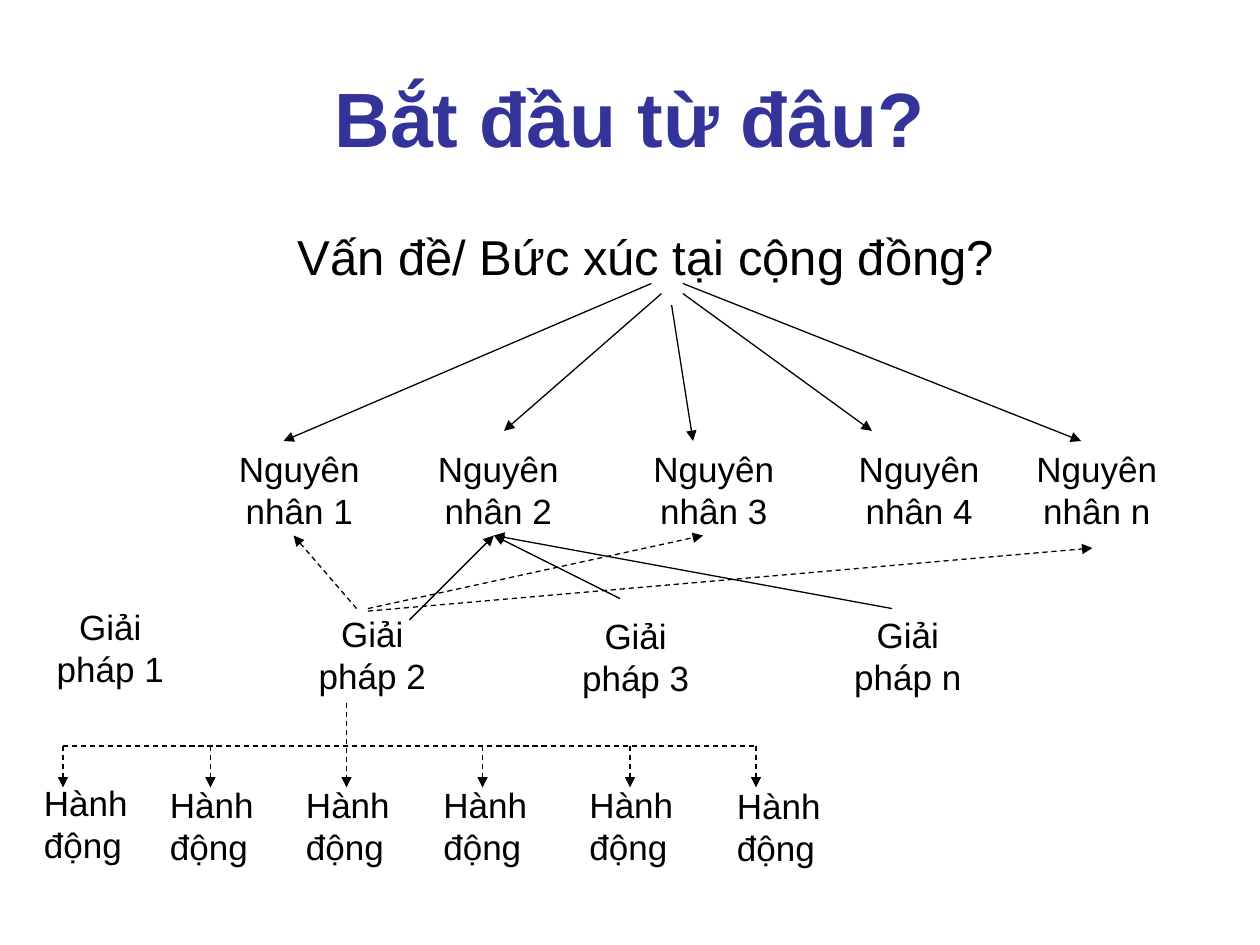
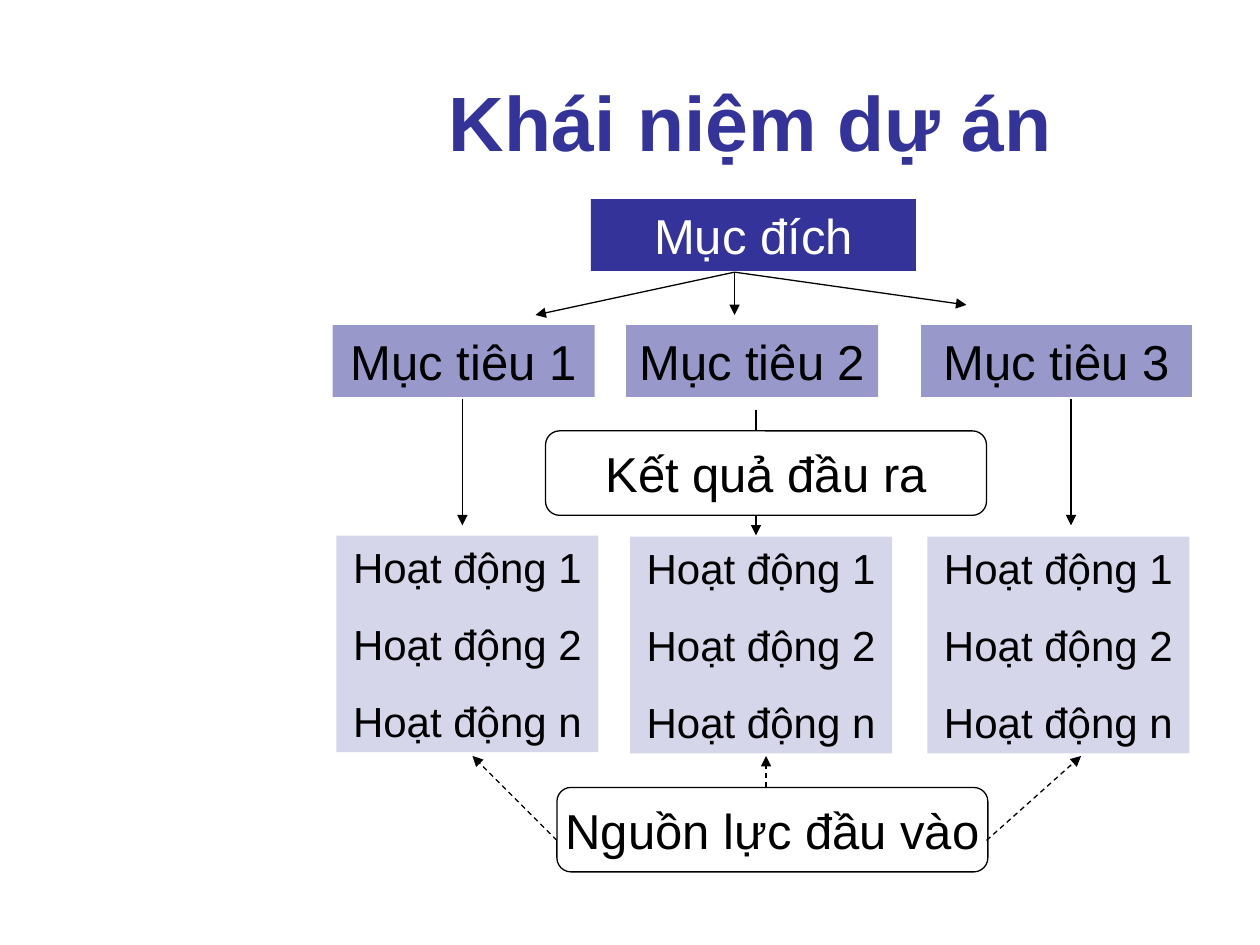
from dataclasses import dataclass

from lxml import etree
from pptx import Presentation
from pptx.dml.color import RGBColor
from pptx.enum.dml import MSO_LINE
from pptx.enum.shapes import MSO_CONNECTOR, MSO_SHAPE
from pptx.enum.text import MSO_ANCHOR, PP_ALIGN
from pptx.oxml.ns import qn
from pptx.util import Inches, Pt

LEFT, CENTER = PP_ALIGN.LEFT, PP_ALIGN.CENTER
TOP, MIDDLE = MSO_ANCHOR.TOP, MSO_ANCHOR.MIDDLE
RECT, ROUND = MSO_SHAPE.RECTANGLE, MSO_SHAPE.ROUNDED_RECTANGLE
STRAIGHT, DASH = MSO_CONNECTOR.STRAIGHT, MSO_LINE.DASH


@dataclass(frozen=True)
class Theme:
    font: str = "Arial"
    accent: RGBColor = RGBColor(0x33, 0x33, 0x99)
    ink: RGBColor = RGBColor(0, 0, 0)
    paper: RGBColor = RGBColor(255, 255, 255)
    title: int = 44
    head: int = 28
    item: int = 24
    label: int = 20
    line: float = 0.75
    gap: int = 15


T = Theme()


# Shared parts
def write(shape, lines, size, color=T.ink, align=CENTER, anchor=TOP,
          bold=False, wrap=True):
    tf = shape.text_frame
    tf.word_wrap = wrap
    tf.vertical_anchor = anchor
    for i, line in enumerate(lines):
        p = tf.add_paragraph() if i else tf.paragraphs[0]
        p.text = line
        p.alignment = align
        if i:
            p.space_before = Pt(T.gap)
        p.font.name, p.font.size, p.font.bold = T.font, Pt(size), bold
        p.font.color.rgb = color


def add_text(s, x, y, w, h, text, size, **style):
    tb = s.shapes.add_textbox(Inches(x), Inches(y), Inches(w), Inches(h))
    write(tb, [text], size, **style)


def add_title(s, x, y, w, text):
    add_text(s, x, y, w, 1.25, text, T.title, color=T.accent,
             anchor=MIDDLE, bold=True)


def add_label(s, x, y, text):
    add_text(s, x, y, 1.25, 0.77, text, T.label)


def add_block(s, x, y, w, h, lines, size, color=T.ink, opacity=100):
    sp = s.shapes.add_shape(RECT, Inches(x), Inches(y), Inches(w), Inches(h))
    sp.shadow.inherit = False
    sp.line.fill.background()
    sp.fill.solid()
    sp.fill.fore_color.rgb = T.accent
    if opacity < 100:
        rgb = sp.fill._xPr.find(".//" + qn("a:srgbClr"))
        etree.SubElement(rgb, qn("a:alpha"), val=str(opacity * 1000))
    write(sp, lines, size, color)


def add_frame(s, x, y, w, text):
    sp = s.shapes.add_shape(ROUND, Inches(x), Inches(y), Inches(w), Inches(0.67))
    sp.shadow.inherit = False
    sp.fill.solid()
    sp.fill.fore_color.rgb = T.paper
    sp.line.color.rgb = T.ink
    sp.line.width = Pt(T.line)
    write(sp, [text], T.head, anchor=MIDDLE, wrap=False)


def add_line(s, x1, y1, x2, y2, dashed=False, arrow=True):
    c = s.shapes.add_connector(STRAIGHT, Inches(x1), Inches(y1),
                               Inches(x2), Inches(y2))
    c.line.color.rgb = T.ink
    c.line.width = Pt(T.line)
    if dashed:
        c.line.dash_style = DASH
    if arrow:
        etree.SubElement(c.line._get_or_add_ln(), qn("a:tailEnd"), type="triangle")
    etree.SubElement(c._element.spPr, qn("a:effectLst"))


# Slide 1: from the problem to causes, solutions and actions
def problem_and_causes(s, x, y):
    add_text(s, x + 0.25, y, 6.25, 0.57, "Vấn đề/ Bức xúc tại cộng đồng?", T.head)
    for dx, n in zip((0, 1.58, 3.29, 4.92, 6.33), "1234n"):
        add_label(s, x + dx, y + 1.75, f"Nguyên\nnhân {n}")
    for x1, y1, x2, y2 in ((3.42, 0.5, 0.5, 1.75), (3.5, 0.58, 2.25, 1.67),
                           (3.58, 0.67, 3.75, 1.75), (3.67, 0.58, 5.17, 1.67),
                           (3.67, 0.5, 6.83, 1.75)):
        add_line(s, x + x1, y + y1, x + x2, y + y2)


def solutions(s, x, y):
    for dx, dy, n in ((0, 0.51, "1"), (2.08, 0.56, "2"),
                      (4.17, 0.58, "3"), (6.33, 0.57, "n")):
        add_label(s, x + dx, y + dy, f"Giải pháp {n}")
    # Solution 2 also touches causes 1, 3 and n
    for x1, y1, x2, y2 in ((2.58, 0.58, 2.08, 0), (2.67, 0.58, 5.33, 0),
                           (2.67, 0.6, 8.42, 0.1)):
        add_line(s, x + x1, y + y1, x + x2, y + y2, dashed=True)
    # Solutions 2, 3 and n meet at cause 2
    for x1, y1 in ((3, 0.67), (4.67, 0.5), (6.83, 0.58)):
        add_line(s, x + x1, y + y1, x + 3.67, y)


def actions(s, x, y):
    bar, tip = y + 0.34, y + 0.67
    arrows = (0.25, 1.42, 2.5, 3.58, 4.75, 5.75)
    labels = (0, 1, 2.08, 3.17, 4.33, 5.5)
    drops = (0.57, 0.59, 0.59, 0.59, 0.59, 0.6)
    for dx, dy in zip(labels, drops):
        add_text(s, x + dx, y + dy, 0.92, 0.77, "Hành động", T.label, align=LEFT)
    add_line(s, x + arrows[0], bar, x + arrows[-1], bar, dashed=True, arrow=False)
    for i, dx in enumerate(arrows):
        start = y if i == 2 else bar  # the stem comes down from solution 2
        add_line(s, x + dx, start, x + dx, tip, dashed=True)


def starting_point_slide(s):
    add_title(s, 0.5, 0.3, 9, "Bắt đầu từ đâu?")
    problem_and_causes(s, 1.75, 1.75)
    solutions(s, 0.25, 4.25)
    actions(s, 0.25, 5.58)


# Slide 2: goal, objectives, activities and inputs
def goal_and_objectives(s, x, y):
    add_block(s, x + 2.05, y, 2.58, 0.57, ["Mục đích"], T.head, T.paper)
    for n, (dx, w) in enumerate(((0, 2.08), (2.33, 2), (4.67, 2.15)), 1):
        add_block(s, x + dx, y + 1, w, 0.57, [f"Mục tiêu {n}"], T.head, opacity=50)
    for dx, dy in ((1.61, 0.92), (3.19, 0.92), (5.03, 0.84)):
        add_line(s, x + 3.19, y + 0.58, x + dx, y + dy)


def outputs(s, x, y):
    for dx, dy in ((0, 0), (2.33, 0.08), (4.83, 0)):
        add_line(s, x + dx, y + dy, x + dx, y + dy + 1)
    add_frame(s, x + 0.66, y + 0.25, 3.5, "Kết quả đầu ra")


def activities_and_inputs(s, x, y):
    items = [f"Hoạt động {n}" for n in "12n"]
    for dx, dy in ((0, 0), (2.33, 0.01), (4.69, 0.01)):
        add_block(s, x + dx, y + dy, 2.08, 1.72, items, T.item, opacity=20)
    add_frame(s, x + 1.75, y + 2, 3.42, "Nguồn lực đầu vào")
    for x1, y1, x2 in ((1.75, 2.42, 1.08), (3.41, 2, 3.41), (5.16, 2.42, 5.91)):
        add_line(s, x + x1, y + y1, x + x2, y + 1.75, dashed=True)


def project_concept_slide(s):
    add_title(s, 2.42, 0.33, 7.08, "Khái niệm dự án")
    goal_and_objectives(s, 2.64, 1.58)
    outputs(s, 3.67, 3.17)
    activities_and_inputs(s, 2.67, 4.25)


def main():
    prs = Presentation()
    prs.slide_width, prs.slide_height = Inches(10), Inches(7.5)
    for build in (starting_point_slide, project_concept_slide):
        build(prs.slides.add_slide(prs.slide_layouts[6]))
    prs.save("out.pptx")


if __name__ == "__main__":
    main()
